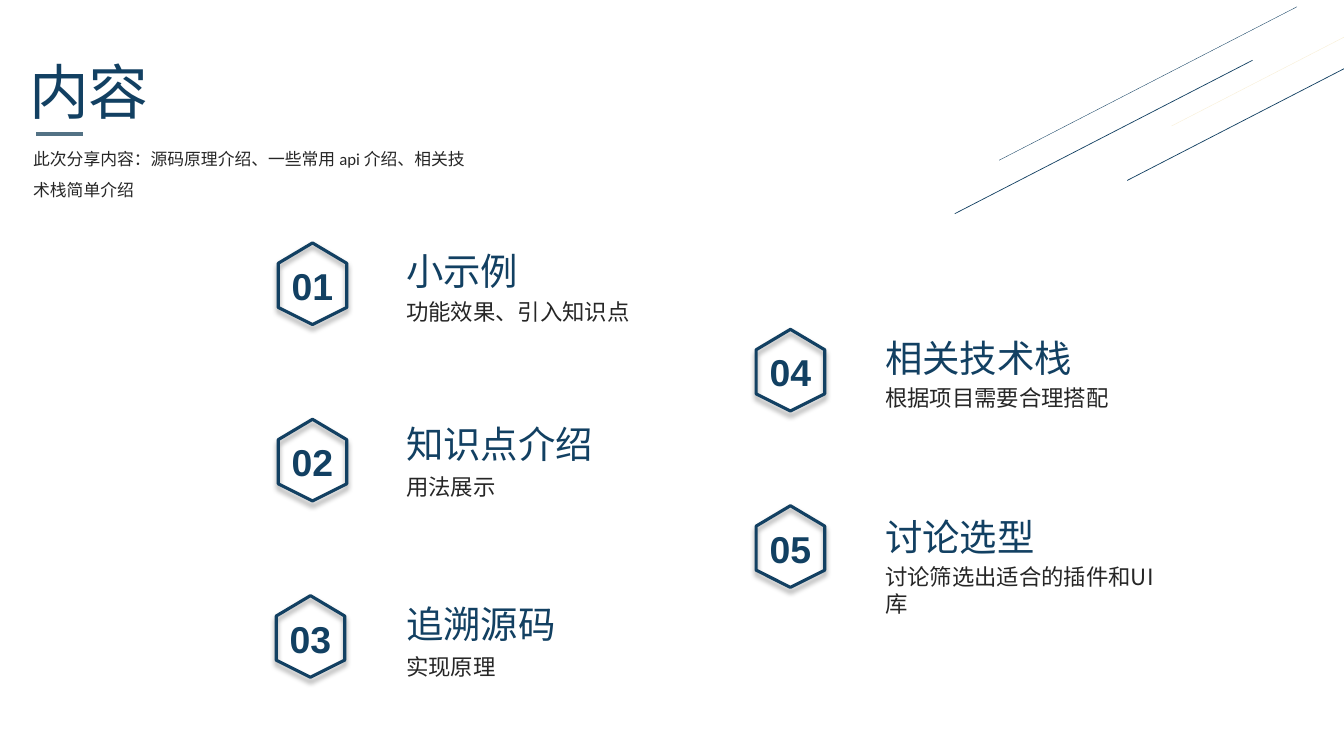
from dataclasses import dataclass

from lxml.etree import SubElement
from pptx import Presentation
from pptx.dml.color import RGBColor
from pptx.enum.shapes import MSO_CONNECTOR
from pptx.enum.text import MSO_AUTO_SIZE, PP_ALIGN
from pptx.oxml.ns import qn
from pptx.util import Inches, Pt

COLORS = {
    "navy": "124062",
    "slate": "537285",
    "ink": "262626",
    "gold": "DCAA1F",
    "shadow": "000000",
}
CJK = "Noto Sans CJK SC"
WIDTH, HEIGHT = Inches(13.33), Inches(7.5)
HEX_W, HEX_H = 5.1, 10.8
HEX_CORNERS = [(0.5, 0), (1, 0.25), (1, 0.79), (0.5, 1), (0, 0.79), (0, 0.25)]
HEX_TOP, HEX_PITCH = 32.13, 23.33
STREAK_DX, STREAK_DY = 22.16, -20.3


@dataclass
class Style:
    size: float
    font: str
    color: str
    bold: bool = False
    align: PP_ALIGN = PP_ALIGN.LEFT
    spacing: float = 1.0
    wrap: bool = True


@dataclass
class Streak:
    x: float
    y: float
    color: str
    weight: float
    alpha: int = 100


@dataclass
class Topic:
    number: str
    heading: str
    caption: str
    hex_x: float
    row: float
    text_x: float
    heading_y: float
    caption_y: float
    caption_w: float


TITLE = Style(42.7, "Calibri", "navy")
INTRO = Style(12, "Calibri", "ink", spacing=1.5)
NUMBER = Style(26.7, "Arial", "navy", bold=True, align=PP_ALIGN.CENTER, wrap=False)
HEADING = Style(26.7, CJK, "navy")
CAPTION = Style(16, CJK, "ink")

STREAKS = [
    Streak(71.04, 28.27, "navy", 0.5),
    Streak(74.34, 21.2, "navy", 0.25),
    Streak(83.87, 23.87, "navy", 0.5),
    Streak(87.17, 16.67, "gold", 0.25, alpha=20),
]

TOPICS = [
    Topic("01", "小示例", "功能效果、引入知识点", 20.7, 0, 29.48, 32.13, 38.8, 18.38),
    Topic("02", "知识点介绍", "用法展示", 20.7, 1, 29.48, 55.07, 61.87, 8.4),
    Topic("03", "追溯源码", "实现原理", 20.55, 2, 29.48, 78.8, 85.73, 8.4),
    Topic("04", "相关技术栈", "根据项目需要合理搭配", 56.26, 0.49, 65.12, 43.73, 50.13, 18.38),
    Topic("05", "讨论选型", "讨论筛选出适合的插件和UI库", 56.26, 1.49, 65.12, 67.33, 73.87, 23.1),
]


def px(share: float) -> int:
    return round(WIDTH * share / 100)


def py(share: float) -> int:
    return round(HEIGHT * share / 100)


def rgb(name: str) -> RGBColor:
    return RGBColor.from_string(COLORS[name])


def add_text(shapes, text: str, x: float, y: float, w: float, h: float, style: Style) -> None:
    sp = shapes.add_textbox(px(x), py(y), px(w), py(h))
    tf = sp.text_frame
    tf.word_wrap = style.wrap
    tf.auto_size = MSO_AUTO_SIZE.SHAPE_TO_FIT_TEXT
    p = tf.paragraphs[0]
    p.text = text
    p.alignment = style.align
    p.line_spacing = style.spacing
    p.font.size = Pt(style.size)
    p.font.name = style.font
    p.font.bold = style.bold
    p.font.color.rgb = rgb(style.color)


def add_line(shapes, x1: float, y1: float, x2: float, y2: float,
             color: str, weight: float, alpha: int = 100) -> None:
    sp = shapes.add_connector(MSO_CONNECTOR.STRAIGHT, px(x1), py(y1), px(x2), py(y2))
    sp.line.color.rgb = rgb(color)
    sp.line.width = Pt(weight)
    props = sp._element.spPr
    if alpha < 100:
        tint = props.find(".//" + qn("a:srgbClr"))
        SubElement(tint, qn("a:alpha"), val=str(alpha * 1000))
    SubElement(props, qn("a:effectLst"))


def add_hexagon(shapes, x: float, y: float) -> None:
    points = [(px(x + fx * HEX_W), py(y + fy * HEX_H)) for fx, fy in HEX_CORNERS]
    builder = shapes.build_freeform(*points[0])
    builder.add_line_segments(points[1:], close=True)
    sp = builder.convert_to_shape()
    sp.fill.background()
    sp.line.color.rgb = rgb("navy")
    sp.line.width = Pt(2.25)
    sp.shadow.inherit = False
    effects = sp._element.spPr.find(qn("a:effectLst"))
    shadow = SubElement(effects, qn("a:outerShdw"), blurRad=str(Pt(4)), dist=str(Pt(3)),
                        dir="5400000", algn="t", rotWithShape="0")
    tint = SubElement(shadow, qn("a:srgbClr"), val=COLORS["shadow"])
    SubElement(tint, qn("a:alpha"), val="40000")


def add_topic(shapes, topic: Topic) -> None:
    y = HEX_TOP + topic.row * HEX_PITCH
    badge = shapes.add_group_shape().shapes
    add_hexagon(badge, topic.hex_x, y)
    add_text(badge, topic.number, topic.hex_x + 0.23, y + 2, 4.65, 7.33, NUMBER)
    label = shapes.add_group_shape().shapes
    add_text(label, topic.heading, topic.text_x, topic.heading_y, 19.58, 7.33, HEADING)
    add_text(label, topic.caption, topic.text_x, topic.caption_y, topic.caption_w, 4.93, CAPTION)


def main() -> None:
    prs = Presentation()
    prs.slide_width, prs.slide_height = WIDTH, HEIGHT
    s = prs.slides.add_slide(prs.slide_layouts[6])
    add_text(s.shapes, "内容", 1.43, 6.53, 27.46, 10.93, TITLE)
    add_line(s.shapes, 2.7, 17.73, 6.15, 17.73, "slate", 2.25)
    add_text(s.shapes, "此次分享内容：源码原理介绍、一些常用 api 介绍、相关技术栈简单介绍",
             1.73, 17.73, 34.58, 9.47, INTRO)
    for k in STREAKS:
        add_line(s.shapes, k.x, k.y, k.x + STREAK_DX, k.y + STREAK_DY, k.color, k.weight, k.alpha)
    for topic in TOPICS:
        add_topic(s.shapes, topic)
    prs.save("out.pptx")


if __name__ == "__main__":
    main()
